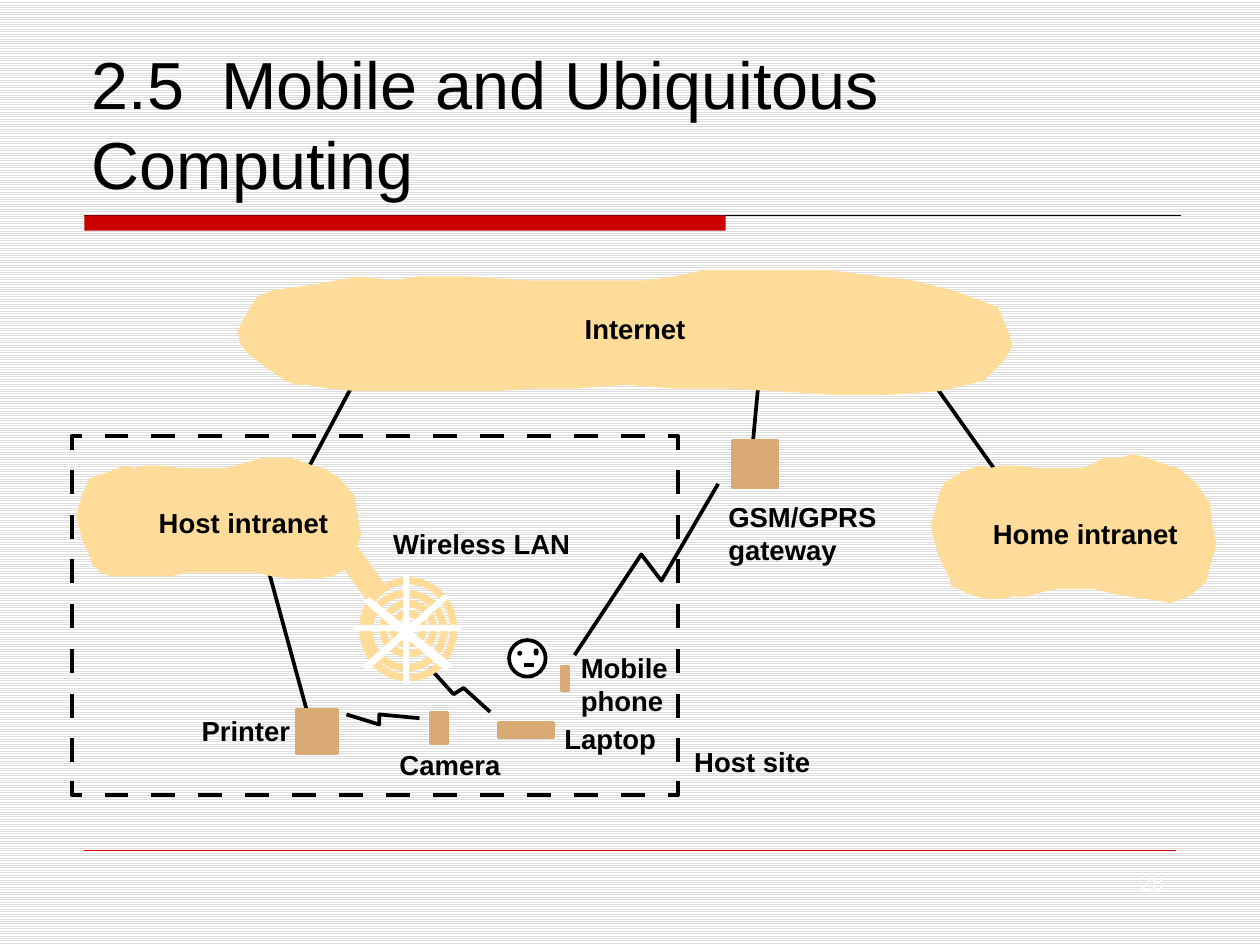
from dataclasses import dataclass
from typing import Any

from lxml import etree
from pptx import Presentation
from pptx.dml.color import RGBColor
from pptx.enum import dml, shapes, text
from pptx.oxml.ns import qn
from pptx.util import Inches, Pt

BLACK = RGBColor(0x00, 0x00, 0x00)
WHITE = RGBColor(0xFF, 0xFF, 0xFF)
RED = RGBColor(0xCC, 0x00, 0x00)
GREY = RGBColor(0xDD, 0xDD, 0xDD)
SAND = RGBColor(0xFF, 0xDC, 0x99)
TAN = RGBColor(0xD9, 0xAA, 0x73)
FONT = "Arial"
STROKE = 2.13
RECT = shapes.MSO_SHAPE.RECTANGLE
OVAL = shapes.MSO_SHAPE.OVAL

# Cloud outlines, in hundredths of an inch from the cloud's corner
INTERNET = [
    (15, 21), (26, 16), (61, 11), (95, 5), (122, 8), (143, 5), (181, 5), (228, 8),
    (276, 8), (322, 8), (345, 5), (369, 0), (404, 0), (439, 0), (468, 0), (492, 3),
    (508, 5), (534, 8), (566, 16), (601, 29), (609, 48), (612, 59), (606, 69), (590, 85),
    (556, 93), (516, 96), (471, 96), (425, 93), (385, 91), (345, 91), (306, 88), (268, 91),
    (236, 91), (204, 93), (175, 93), (146, 93), (119, 93), (93, 93), (71, 91), (53, 88),
    (45, 88), (37, 85), (23, 75), (8, 64), (2, 56), (0, 48), (5, 37), (10, 29)]
HOST_INTRANET = [
    (8, 21), (10, 16), (24, 11), (37, 6), (45, 8), (53, 6), (66, 6), (82, 8),
    (101, 8), (117, 8), (125, 6), (136, 3), (146, 0), (159, 0), (170, 0), (178, 3),
    (186, 6), (194, 8), (207, 16), (218, 29), (221, 48), (223, 59), (221, 67), (215, 83),
    (202, 91), (189, 93), (170, 93), (154, 91), (141, 88), (128, 88), (112, 88), (98, 88),
    (85, 88), (74, 91), (64, 91), (53, 91), (45, 91), (34, 91), (26, 91), (18, 88),
    (16, 85), (13, 83), (10, 75), (5, 64), (2, 53), (0, 45), (2, 37), (5, 27)]
HOME_INTRANET = [
    (8, 27), (11, 22), (24, 14), (38, 9), (46, 11), (54, 9), (67, 9), (83, 11),
    (102, 11), (118, 11), (125, 9), (136, 3), (147, 3), (160, 0), (171, 3), (179, 6),
    (187, 9), (195, 11), (208, 22), (219, 38), (221, 56), (224, 70), (221, 80), (216, 99),
    (203, 110), (189, 115), (171, 112), (155, 110), (141, 107), (128, 104), (112, 104), (99, 104),
    (85, 107), (75, 110), (64, 110), (54, 112), (46, 112), (35, 110), (27, 107), (22, 104),
    (16, 102), (16, 99), (11, 88), (6, 78), (3, 67), (0, 56), (3, 46), (6, 35)]


def paint(shape, fill=None, line=None, weight=STROKE):
    shape.shadow.inherit = False
    if fill is None:
        shape.fill.background()
    else:
        shape.fill.solid()
        shape.fill.fore_color.rgb = fill
    if line is None:
        shape.line.fill.background()
    else:
        shape.line.color.rgb = line
        shape.line.width = Pt(weight)


@dataclass
class Region:
    """A box on the slide; its parts are placed in inches from its corner."""
    slide: Any
    left: float
    top: float
    width: float
    height: float

    def at(self, x, y):
        return Inches(self.left + x), Inches(self.top + y)

    def shape(self, kind, x, y, width, height, **look):
        part = self.slide.shapes.add_shape(kind, *self.at(x, y), Inches(width), Inches(height))
        paint(part, **look)

    def line(self, start, end, color=BLACK, weight=STROKE):
        part = self.slide.shapes.add_connector(
            shapes.MSO_CONNECTOR.STRAIGHT, *self.at(*start), *self.at(*end))
        part.line.color.rgb = color
        part.line.width = Pt(weight)
        etree.SubElement(part._element.spPr, qn("a:effectLst"))

    def outline(self, points, close=False, **look):
        """Freeform through points given in hundredths of an inch."""
        builder = self.slide.shapes.build_freeform(*points[0], scale=Inches(0.01))
        builder.add_line_segments(points[1:], close=close)
        paint(builder.convert_to_shape(*self.at(0, 0)), **look)

    def label(self, x, y, width, *lines, size=15.7, color=BLACK, bold=True):
        box = self.slide.shapes.add_textbox(*self.at(x, y), Inches(width), Inches(0.26 * len(lines)))
        frame = box.text_frame
        frame.margin_left = frame.margin_right = frame.margin_top = frame.margin_bottom = 0
        frame.word_wrap = False
        frame.text = "\n".join(lines)
        for paragraph in frame.paragraphs:
            font = paragraph.font
            font.name, font.size, font.bold = FONT, Pt(size), bold
            font.color.rgb = color


def heading(region):
    title = region.slide.shapes.title
    title.left, title.top = region.at(0, 0)
    title.width, title.height = Inches(region.width), Inches(region.height)
    frame = title.text_frame
    frame.auto_size = text.MSO_AUTO_SIZE.NONE
    frame.word_wrap = True
    frame.vertical_anchor = text.MSO_ANCHOR.BOTTOM
    frame.text = "2.5  Mobile and Ubiquitous Computing"
    paragraph = frame.paragraphs[0]
    paragraph.alignment = text.PP_ALIGN.LEFT
    paragraph.font.name, paragraph.font.size = FONT, Pt(38)
    paragraph.font.color.rgb = BLACK


def rules(region):
    # Bar under the title, footer rule and page number
    region.line((0, 0), (region.width, 0), weight=0.75)
    region.shape(RECT, 0, 0, 5.09, 0.12, fill=RED)
    region.line((0, region.height), (8.66, region.height), RED, 0.25)
    region.label(8.38, 5.19, 0.19, "28", size=12, color=WHITE, bold=False)


def links(region):
    for start, end in [((0.74, 0), (0.27, 0.88)), ((0, 1.49), (0.35, 2.77)),
                       ((3.91, 0.08), (3.86, 0.61)), ((5.24, 0), (5.88, 0.9))]:
        region.line(start, end)


def cloud(region, points, name, name_x, name_y, name_width):
    region.outline(points, close=True, fill=SAND, line=SAND)
    region.label(name_x, name_y, name_width, name)


def gateway(region):
    region.shape(RECT, 0.04, 0, region.width, region.height, fill=TAN, line=TAN)
    region.label(0, 0.47, 1.25, "GSM/GPRS", "gateway")


def site_border(region):
    right, bottom = region.width, region.height
    dash = 0.19
    for i in range(12):
        x = 0.26 + 0.3725 * i
        for y in (0, bottom):
            region.line((x, y), (x + dash, y))
    for i in range(7):
        y = 0.27 + 0.355 * i
        for x in (0, right):
            region.line((x, y), (x, y + dash))
    # Corners turn inwards
    for x, inward_x in ((0, 8), (right * 100, -8)):
        for y, inward_y in ((0, 11), (bottom * 100, -11)):
            region.outline([(x, y + inward_y), (x, y), (x + inward_x, y)], line=BLACK)


def devices(region):
    # Printer, camera, laptop, mobile phone
    for box in [(1.79, 2.17, 0.32, 0.35), (2.85, 2.2, 0.13, 0.24),
                (3.39, 2.28, 0.43, 0.11), (3.89, 1.83, 0.05, 0.19)]:
        region.shape(RECT, *box, fill=TAN, line=TAN)
    region.label(1.03, 2.21, 0.71, "Printer")
    region.label(2.6, 2.48, 0.81, "Camera")
    region.label(3.91, 2.27, 0.74, "Laptop")
    region.label(4.04, 1.71, 0.7, "Mobile", "phone")
    region.label(2.55, 0.72, 1.42, "Wireless LAN")
    region.label(4.94, 2.45, 0.93, "Host site")
    # Radio links: phone to gateway, laptop to network, camera to printer
    for signal in [[(399, 174), (452, 94), (468, 115), (513, 38)],
                   [(332, 219), (311, 200), (303, 205), (284, 184)],
                   [(276, 224), (244, 221), (244, 229), (218, 221)]]:
        region.outline(signal, line=BLACK)


def user_face(region):
    for box in [(0, 0, region.width, region.height),
                (0.08, 0.1, 0.01, 0.01), (0.21, 0.08, 0.01, 0.03)]:
        region.shape(OVAL, *box, fill=WHITE, line=BLACK)
    region.line((0.12, 0.2), (0.2, 0.2))


def wireless_lan(region):
    # Arm to the host intranet
    region.outline([(-19, -24), (-5, -32), (24, 8), (11, 18)], close=True, fill=SAND, line=SAND)
    for x, y, width, height in [(0.32, 0.31, 0.24, 0.24), (0.24, 0.23, 0.4, 0.4),
                                (0.13, 0.15, 0.59, 0.59), (0.08, 0.05, 0.72, 0.77)]:
        region.shape(OVAL, x, y, width, height, line=SAND, weight=4.13)
    # Spokes
    region.outline([(13, 18), (8, 21), (11, 24), (74, 77), (80, 72)], close=True, fill=WHITE)
    region.outline([(77, 18), (72, 16), (8, 72), (11, 77)], close=True, fill=WHITE)
    region.shape(RECT, 0.4, 0, 0.05, region.height, fill=WHITE)
    region.shape(RECT, 0, 0.4, region.width, 0.05, fill=WHITE)


def main():
    deck = Presentation()
    deck.slide_width, deck.slide_height = Inches(10), Inches(7.5)
    slide = deck.slides.add_slide(deck.slide_layouts[5])
    backdrop = slide.background.fill
    backdrop.patterned()
    backdrop.pattern = dml.MSO_PATTERN.LIGHT_HORIZONTAL
    backdrop.fore_color.rgb, backdrop.back_color.rgb = GREY, WHITE

    rules(Region(slide, 0.67, 1.71, 8.7, 5.04))
    heading(Region(slide, 0.63, 0.33, 8.75, 1.33))
    links(Region(slide, 2.11, 2.96, 5.88, 2.77))
    cloud(Region(slide, 1.9, 2.16, 6.12, 0.96), INTERNET, "Internet", 2.74, 0.32, 0.81)
    cloud(Region(slide, 0.62, 3.65, 2.23, 0.93), HOST_INTRANET, "Host intranet", 0.64, 0.37, 1.36)
    cloud(Region(slide, 7.4, 3.62, 2.24, 1.15), HOME_INTRANET, "Home intranet", 0.48, 0.48, 1.49)
    gateway(Region(slide, 5.78, 3.5, 0.35, 0.37))
    host_site = Region(slide, 0.57, 3.46, 4.81, 2.85)
    site_border(host_site)
    devices(host_site)
    user_face(Region(slide, 4.04, 5.08, 0.29, 0.29))
    wireless_lan(Region(slide, 2.8, 4.56, 0.86, 0.88))
    deck.save("out.pptx")


if __name__ == "__main__":
    main()
